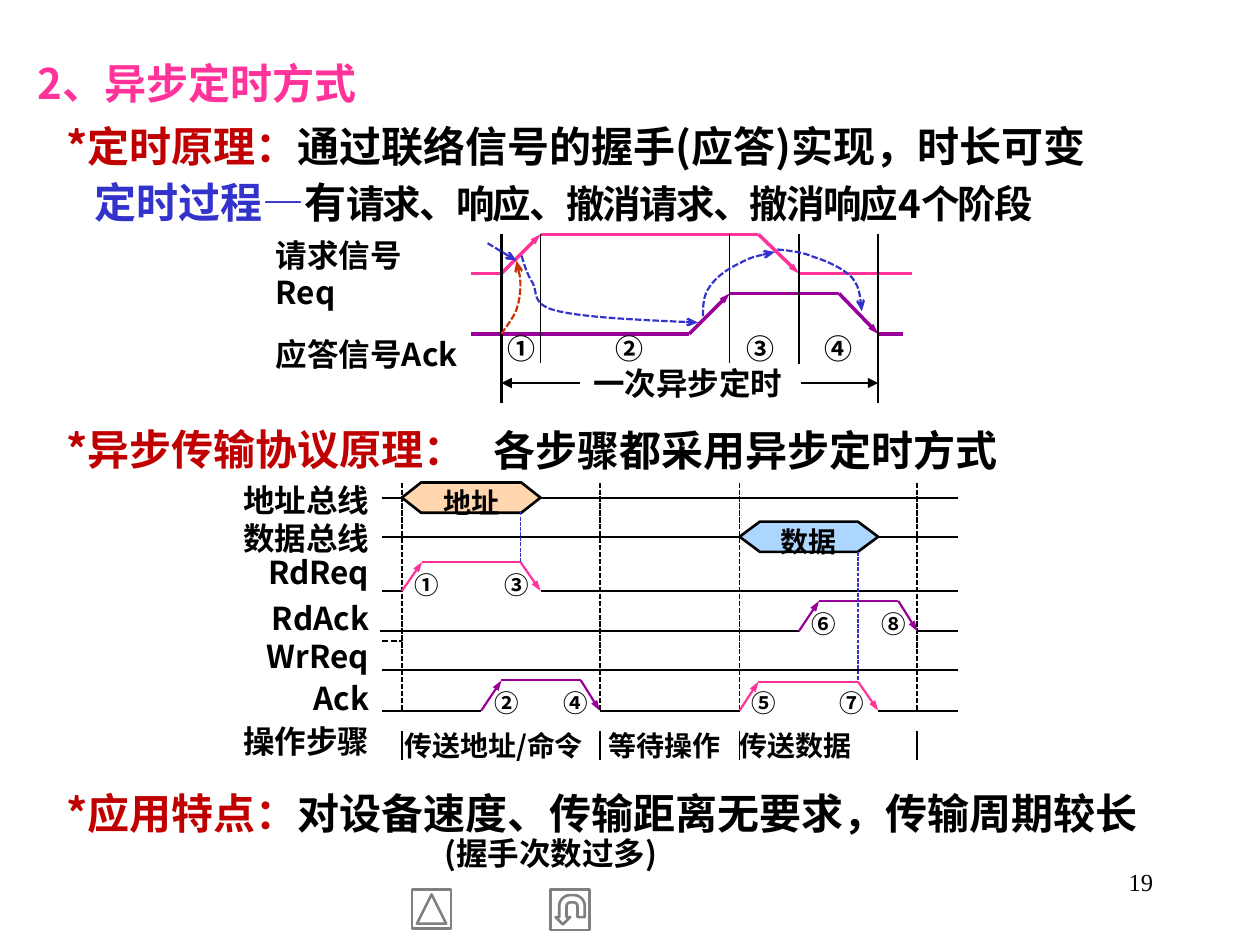
"""Build the slide on asynchronous bus timing."""
from typing import NamedTuple

from lxml import etree
from pptx import Presentation
from pptx.dml.color import RGBColor
from pptx.enum.dml import MSO_LINE
from pptx.enum.shapes import MSO_CONNECTOR, MSO_SHAPE
from pptx.enum.text import MSO_ANCHOR, PP_ALIGN
from pptx.oxml.ns import qn
from pptx.util import Pt

SCALE = 9144
FONT = "Noto Sans CJK SC"
STRAIGHT = MSO_CONNECTOR.STRAIGHT
HEXAGON = MSO_SHAPE.HEXAGON
BACK = MSO_SHAPE.ACTION_BUTTON_BACK_OR_PREVIOUS
RETURN = MSO_SHAPE.ACTION_BUTTON_RETURN
DASH = MSO_LINE.SQUARE_DOT
LEFT, CENTER, RIGHT = PP_ALIGN.LEFT, PP_ALIGN.CENTER, PP_ALIGN.RIGHT
MIDDLE = MSO_ANCHOR.MIDDLE
BLACK, PINK, PURPLE = "000000", "FF3399", "990099"
BLUE, RED, RUST, GRAY = "3333CC", "C00000", "CC3300", "808080"


class Run(NamedTuple):
    """A stretch of text in one format."""
    text: str
    color: str = BLACK
    size: int = 24
    track: int = 0


class Para(NamedTuple):
    """A paragraph with its spacing."""
    runs: list
    lead: float = 1.25
    before: float = 0
    indent: int = 0
    align: PP_ALIGN = LEFT
    tabs: tuple = ()


class Pulse(NamedTuple):
    """A signal pulse: base and top heights, and its four corners."""
    base: int
    top: int
    marks: tuple
    color: str


class Curve(NamedTuple):
    """A dashed arrow of joined cubic curves."""
    points: list
    color: str = BLUE


def emu(px):
    """Turn px into EMU."""
    return round(px * SCALE)


def paint(value):
    """Turn a hex string into a colour."""
    return RGBColor.from_string(value)


def write(para, text, size=24, color=BLACK, font=FONT, bold=True, track=0):
    """Add a formatted run of text to a paragraph."""
    run = para.add_run()
    run.text = text
    face = run.font
    face.size, face.bold, face.name = Pt(size), bold, font
    face.color.rgb = paint(color)
    props = run._r.get_or_add_rPr()
    etree.SubElement(props, qn("a:ea")).set("typeface", font)
    if track:
        props.set("spc", str(track * 100))


def area(slide, x, y, w, h, tight=False):
    """Add a wrapping text box and give its frame."""
    frame = slide.shapes.add_textbox(emu(x), emu(y), emu(w), emu(h)).text_frame
    frame.word_wrap = True
    if tight:
        frame.margin_left = frame.margin_right = emu(2)
        frame.margin_top = frame.margin_bottom = emu(1)
    return frame


def fill_text(frame, paras):
    """Put paragraphs into a text frame."""
    for i, item in enumerate(paras):
        para = frame.add_paragraph() if i else frame.paragraphs[0]
        para.alignment, para.line_spacing = item.align, item.lead
        para.space_before = Pt(item.before)
        props = para._p.get_or_add_pPr()
        if item.indent:
            props.set("marL", str(emu(item.indent)))
        if item.tabs:
            stops = etree.SubElement(props, qn("a:tabLst"))
            for stop in item.tabs:
                etree.SubElement(stops, qn("a:tab"), pos=str(emu(stop)), algn="l")
        for run in item.runs:
            write(para, run.text, size=run.size, color=run.color, track=run.track)


def stroke(shape, color, width, dash=False, head=""):
    """Style an outline, with an optional dash and arrowhead."""
    line = shape.line
    line.color.rgb, line.width = paint(color), Pt(width)
    if dash:
        line.dash_style = DASH
    if head:
        tip = etree.SubElement(line._get_or_add_ln(), qn("a:tailEnd"), type=head)
        if color != BLACK:
            tip.set("w", "sm")


def wire(slide, x1, y1, x2, y2, color=BLACK, width=1.25, dash=False, head=""):
    """Draw a straight line."""
    link = slide.shapes.add_connector(STRAIGHT, emu(x1), emu(y1), emu(x2), emu(y2))
    stroke(link, color, width, dash, head)
    etree.SubElement(link._element.spPr, qn("a:effectLst"))


def trace(slide, points, color, width=1.25):
    """Draw a signal whose sloping edges carry arrowheads."""
    for (x1, y1), (x2, y2) in zip(points, points[1:]):
        head = "triangle" if y1 != y2 else ""
        wire(slide, x1, y1, x2, y2, color, width, head=head)


def bend(slide, curve):
    """Draw joined cubic curves as one outline."""
    first, *rest = [(emu(x), emu(y)) for x, y in curve.points]
    build = slide.shapes.build_freeform(*first, scale=1.0)
    build.add_line_segments(rest, close=False)
    shape = build.convert_to_shape()
    route = shape._element.spPr.find(".//" + qn("a:path"))
    legs = route.findall(qn("a:lnTo"))
    for i in range(0, len(legs), 3):
        cubic = etree.SubElement(route, qn("a:cubicBezTo"))
        for leg in legs[i:i + 3]:
            cubic.append(leg[0])
            route.remove(leg)
    shape.shadow.inherit = False
    shape.fill.background()
    stroke(shape, curve.color, 1.25, True, "arrow")


def badge(slide, text, x, y, w, size):
    """Write a circled step number."""
    fill_text(area(slide, x, y, w, 24, True),
              [Para([Run(text, size=size)], 0.9, align=CENTER)])


def block(slide, text, x, y, color, slant):
    """Draw a bus hexagon."""
    shape = slide.shapes.add_shape(HEXAGON, emu(x), emu(y), emu(110), emu(24))
    shape.shadow.inherit = False
    shape.adjustments[0] = slant
    shape.fill.solid()
    shape.fill.fore_color.rgb = paint(color)
    tone = shape._element.spPr.find(".//" + qn("a:srgbClr"))
    etree.SubElement(tone, qn("a:alpha")).set("val", "80000")
    stroke(shape, BLACK, 1.5)
    frame = shape.text_frame
    frame.word_wrap, frame.vertical_anchor = False, MIDDLE
    fill_text(frame, [Para([Run(text, size=16)], align=CENTER)])


def button(slide, kind, x, h, turn):
    """Draw a hollow button."""
    shape = slide.shapes.add_shape(kind, emu(x), emu(706), emu(31), emu(h))
    shape.shadow.inherit = False
    shape.fill.background()
    shape.rotation = turn
    stroke(shape, GRAY, 1.5)


def prose(slide):
    """Write the headings and statements."""
    page = area(slide, 717, 683, 208, 50).paragraphs[0]
    page.alignment = RIGHT
    write(page, "19", size=14, font="Times New Roman", bold=False)
    fill_text(area(slide, 20, 31, 961, 364), [
        Para([Run("2、异步定时方式", PINK)]),
        Para([Run("*定时原理：", RED), Run("通过联络信号的握手(应答)实现，时长可变")], indent=23),
        Para([Run("*异步传输协议原理：", RED)], before=136.8, indent=23)])
    fill_text(area(slide, 382, 322, 599, 61), [Para([Run("各步骤都采用异步定时方式")])])
    fill_text(area(slide, 20, 125, 961, 61), [
        Para([Run("定时过程—", BLUE), Run("有"),
              Run("请求、响应、撤消请求、撤消响应4个阶段", size=22, track=-1)], indent=45)])
    fill_text(area(slide, 20, 610, 961, 88), [
        Para([Run("*应用特点：", RED), Run("对设备速度、传输距离无要求，传输周期较长")], indent=23),
        Para([Run("(握手次数过多)", size=18)], 0.9, indent=323)])


def shake(slide):
    """Draw the request and answer handshake."""
    fill_text(area(slide, 217, 186, 150, 78, True), [
        Para([Run("请求信号Req", size=18)], 1.0),
        Para([Run("应答信号Ack", size=18)], 1.0, 13.5)])
    fill_text(area(slide, 457, 288, 178, 32, True),
              [Para([Run("一次异步定时", size=18)], 1.0, align=CENTER)])
    trace(slide, [(374, 217), (398, 217), (429, 186), (602, 186), (634, 217), (724, 217)], PINK, 2)
    trace(slide, [(374, 265), (547, 265), (579, 233), (666, 233), (697, 265), (717, 265)], PURPLE, 2)
    for x, end, width in ((398, 320, 1.25), (429, 288, 1), (579, 288, 1),
                          (634, 289, 1), (697, 320, 1.25)):
        wire(slide, x, 186, x, end, width=width)
    for text, x in zip("①②③④", (398, 484, 588, 650)):
        badge(slide, text, x, 265, 31, 16)
    wire(slide, 387, 193, 410, 207, BLUE, dash=True, head="arrow")
    for curve in (
            Curve([(558, 251), (558, 243), (558, 235), (563, 228), (568, 220),
                   (578, 213), (587, 209), (596, 204), (606, 202), (615, 200)]),
            Curve([(414, 203), (416, 210), (418, 217), (423, 225), (427, 232),
                   (421, 242), (443, 247), (465, 252), (509, 254), (554, 256)]),
            Curve([(617, 198), (627, 199), (637, 200), (646, 204), (656, 207),
                   (669, 213), (676, 220), (682, 228), (683, 237), (684, 247)]),
            Curve([(398, 265), (402, 259), (406, 254), (409, 248), (412, 241),
                   (413, 233), (413, 226), (413, 219), (411, 213), (410, 207)], RUST)):
        bend(slide, curve)
    for start, end in ((636, 697), (460, 398)):
        wire(slide, start, 304, end, 304, head="triangle")


def bus(slide):
    """Draw the bus transfer timing."""
    names = (("地址总线", 1.2), ("数据总线", 1.01), ("RdReq", 0.9), ("RdAck", 1.2),
             ("WrReq", 1.01), ("Ack", 1.1), ("操作步骤", 1.0))
    fill_text(area(slide, 185, 375, 110, 228, True), [
        Para([Run(name, size=18)], lead, 3 if name == "操作步骤" else 0, align=RIGHT)
        for name, lead in names])
    for x in (319, 476, 587, 728):
        wire(slide, x, 383, x, 564, width=1, dash=True)
        wire(slide, x, 580, x, 603, width=1)
    block(slide, "地址", 319, 383, "FFCC99", 0.633)
    block(slide, "数据", 587, 414, "99CCFF", 0.671)
    wire(slide, 311, 469, 319, 469, PINK)
    for y, spans in ((395, ((303, 319), (429, 760))), (426, ((303, 587), (697, 760))),
                     (469, ((303, 319), (429, 760))), (501, ((302, 634), (728, 760))),
                     (532, ((303, 760),)), (564, ((303, 382), (476, 587), (697, 760)))):
        for start, end in spans:
            wire(slide, start, y, end, y)
    wire(slide, 303, 509, 319, 509, dash=True)
    for pulse in (Pulse(469, 446, (319, 335, 413, 429), PINK),
                  Pulse(501, 477, (634, 650, 713, 728), PURPLE),
                  Pulse(564, 540, (382, 398, 461, 476), PURPLE),
                  Pulse(564, 541, (587, 602, 681, 697), PINK)):
        levels = (pulse.base, pulse.top, pulse.top, pulse.base)
        trace(slide, list(zip(pulse.marks, levels)), pulse.color)
    for text, x, y in (("①", 327, 454), ("③", 398, 454), ("⑥", 642, 485), ("⑧", 697, 485),
                       ("②", 390, 548), ("④", 445, 548), ("⑤", 594, 548), ("⑦", 664, 548)):
        badge(slide, text, x, y, 24, 14)
    fill_text(area(slide, 319, 580, 409, 24, True), [
        Para([Run("传送地址/命令\t等待操作\t传送数据", size=16)], 0.9, tabs=(162, 266))])
    for x, start, end in ((681, 438, 540), (413, 406, 446)):
        wire(slide, x, start, x, end, BLUE, 0.75, True)


def main():
    """Build and save the slide."""
    deck = Presentation()
    deck.slide_width, deck.slide_height = emu(1000), emu(750)
    slide = deck.slides.add_slide(deck.slide_layouts[6])
    prose(slide)
    shake(slide)
    bus(slide)
    button(slide, BACK, 327, 31, 90)
    button(slide, RETURN, 437, 32, 180)
    deck.save("out.pptx")


if __name__ == "__main__":
    main()
